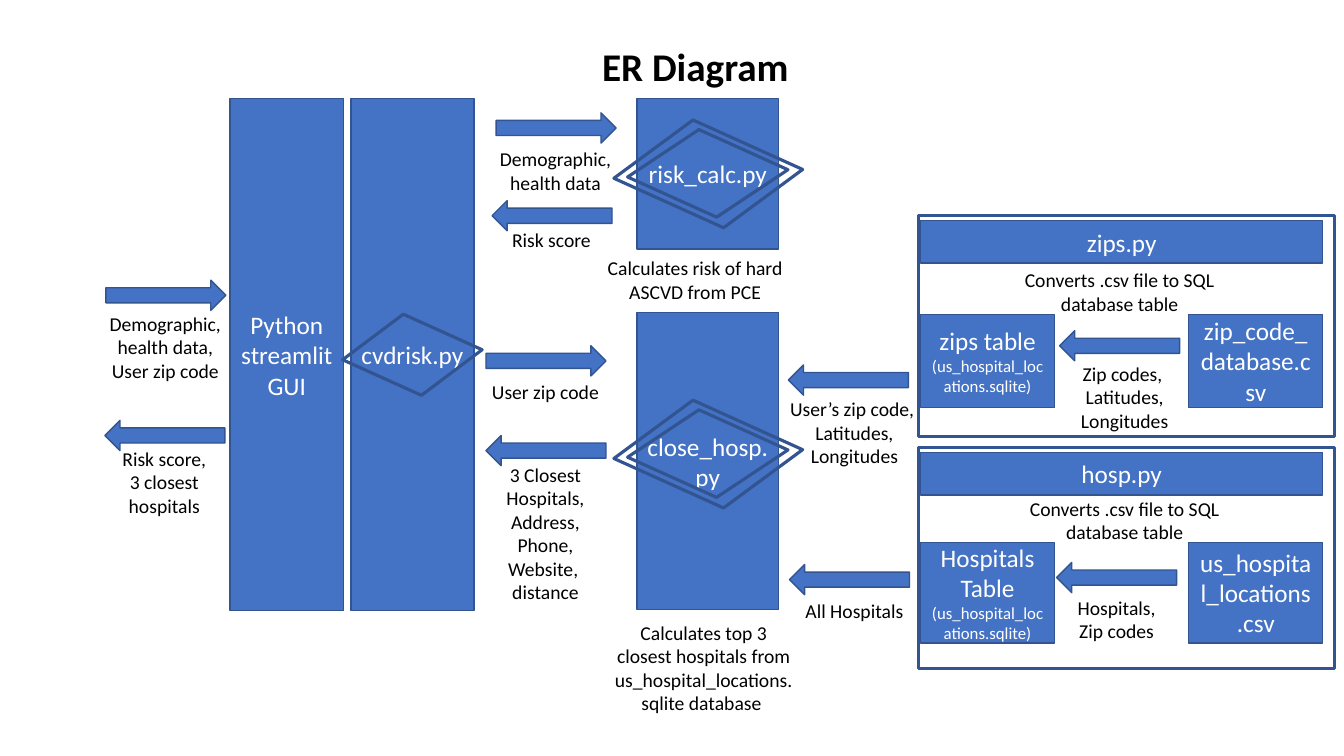
from dataclasses import dataclass

from pptx import Presentation
from pptx import util as u
from pptx.dml.color import RGBColor
from pptx.enum import shapes, text

PX = u.Inches(1) // 100


@dataclass(frozen=True)
class Theme:
    font: str = "Calibri"
    fill: RGBColor = RGBColor(0x44, 0x72, 0xC4)
    line: RGBColor = RGBColor(0x32, 0x54, 0x91)
    light: RGBColor = RGBColor(0xFF, 0xFF, 0xFF)
    dark: RGBColor = RGBColor(0, 0, 0)
    title: int = 28
    block: int = 18
    label: int = 14
    detail: int = 12
    thin: float = 1
    thick: float = 2.25


THEME = Theme()
ARROW_WIDTH, ARROW_HEIGHT = 119, 30
SINGLE = ((122, 66, 0.55),)
DOUBLE = ((142, 72, 0.627), (167, 85, 0.561))


def write(frame, lines, sizes, color, bold=False):
    frame.word_wrap = True
    frame.text = "\n".join(lines)
    for paragraph, size in zip(frame.paragraphs, sizes):
        paragraph.alignment = text.PP_ALIGN.CENTER
        for run in paragraph.runs:
            run.font.name = THEME.font
            run.font.size = u.Pt(size)
            run.font.bold = bold
            run.font.color.rgb = color


def add_shape(slide, kind, box, filled=True):
    shape = slide.shapes.add_shape(kind, *(length * PX for length in box))
    shape.shadow.inherit = False
    if filled:
        shape.fill.solid()
        shape.fill.fore_color.rgb = THEME.fill
    else:
        shape.fill.background()
    shape.line.color.rgb = THEME.line
    shape.line.width = u.Pt(THEME.thin if filled else THEME.thick)
    return shape


def add_block(slide, box, name, detail=None):
    shape = add_shape(slide, shapes.MSO_SHAPE.RECTANGLE, box)
    shape.text_frame.vertical_anchor = text.MSO_ANCHOR.MIDDLE
    lines = [name, detail] if detail else [name]
    write(shape.text_frame, lines, (THEME.block, THEME.detail), THEME.light)


def add_label(slide, box, *lines, size=THEME.label, bold=False):
    label = slide.shapes.add_textbox(*(length * PX for length in box))
    write(label.text_frame, lines, [size] * len(lines), THEME.dark, bold)
    label.text_frame.auto_size = text.MSO_AUTO_SIZE.SHAPE_TO_FIT_TEXT


def label_height(rows):
    return 11 + 70 * rows // 3


def add_flow(slide, left, top, lines, rows, drop, back=False, width=144, shift=0):
    """Arrow with a label `drop` below its top, centred on it plus `shift`."""
    arrow = add_shape(slide, shapes.MSO_SHAPE.RIGHT_ARROW,
                      (left, top, ARROW_WIDTH, ARROW_HEIGHT))
    arrow.rotation = 180 if back else 0
    label_left = left + (ARROW_WIDTH - width) // 2 + shift
    add_label(slide, (label_left, top + drop, width, label_height(rows)), *lines)


def add_diamonds(slide, center_x, center_y, sizes):
    for width, height, slant in sizes:
        box = (center_x - width // 2, center_y - height // 2, width, height)
        diamond = add_shape(slide, shapes.MSO_SHAPE.PARALLELOGRAM, box, filled=False)
        diamond.adjustments[0] = slant
        diamond.rotation = 24.3


def add_module(slide, box, name, sizes, rise=0):
    """Script block with diamonds `rise` above its centre."""
    left, top, width, height = box
    add_block(slide, box, name)
    add_diamonds(slide, left + width // 2, top + height // 2 - rise, sizes)


def add_front_end(slide, left, top):
    add_block(slide, (left + 137, top, 113, 508), "Python streamlit GUI")
    add_module(slide, (left + 257, top, 122, 508), "cvdrisk.py", SINGLE)
    add_flow(slide, left + 14, top + 180,
             ["Demographic, health data,", "User zip code"], 3, 26)
    add_flow(slide, left + 13, top + 319,
             ["Risk score,", "3 closest hospitals"], 3, 21, back=True)


def add_risk_calculator(slide, left, top):
    add_module(slide, (left + 150, top, 140, 149), "risk_calc.py", DOUBLE)
    add_label(slide, (left + 101, top + 151, 213, label_height(2)),
              "Calculates risk of hard ASCVD from PCE")
    add_flow(slide, left + 10, top + 14, ["Demographic, health data"], 2, 29)
    add_flow(slide, left + 6, top + 101, ["Risk score"], 1, 22, back=True)


def add_hospital_finder(slide, left, top):
    add_module(slide, (left + 150, top, 140, 295), "close_hosp.py", DOUBLE, rise=7)
    add_label(slide, (left + 118, top + 301, 196, label_height(4)),
              "Calculates top 3 closest hospitals from us_hospital_locations.sqlite database ")
    add_flow(slide, left, top + 33, ["User zip code"], 1, 29)
    add_flow(slide, left, top + 122,
             ["3 Closest Hospitals,", "Address,", "Phone,", "Website, ", "distance"],
             6, 22, back=True)
    add_flow(slide, left + 300, top + 52,
             ["User’s zip code, ", "Latitudes, Longitudes"], 3, 27,
             back=True, width=177, shift=6)
    add_flow(slide, left + 301, top + 250, ["All Hospitals"], 1, 29,
             back=True, width=213, shift=5)


def add_database_panel(slide, left, top, script, table, source, files_top,
                       files_height, caption_at, flow):
    add_shape(slide, shapes.MSO_SHAPE.RECTANGLE, (left, top, 413, 219), filled=False)
    add_block(slide, (left + 2, top + 5, 399, 42), script)
    add_block(slide, (left + 2, top + files_top, 133, files_height),
              table, "(us_hospital_locations.sqlite)")
    add_block(slide, (left + 268, top + files_top, 133, files_height), source)
    caption_x, caption_y = caption_at
    add_label(slide, (left + caption_x, top + caption_y, 213, label_height(2)),
              "Converts .csv file to SQL database table")
    flow_left = left + flow.pop("offset")
    add_flow(slide, flow_left, top + 114, back=True, **flow)


def build_er_diagram(slide):
    add_label(slide, (277, 37, 825, 57), "ER Diagram", size=THEME.title, bold=True)
    add_front_end(slide, 91, 98)
    add_risk_calculator(slide, 482, 98)
    add_hospital_finder(slide, 482, 310)
    add_database_panel(
        slide, 911, 214, "zips.py", "zips table", "zip_code_database.csv",
        files_top=98, files_height=92, caption_at=(93, 47),
        flow=dict(offset=140, lines=["Zip codes, ", "Latitudes, Longitudes"],
                  rows=3, drop=26, width=163, shift=5))
    add_database_panel(
        slide, 911, 444, "hosp.py", "Hospitals Table", "us_hospital_locations.csv",
        files_top=94, files_height=100, caption_at=(98, 44),
        flow=dict(offset=137, lines=["Hospitals,", "Zip codes"],
                  rows=2, drop=28, width=213))


def main():
    presentation = Presentation()
    presentation.slide_width = 1333 * PX
    presentation.slide_height = 750 * PX
    build_er_diagram(presentation.slides.add_slide(presentation.slide_layouts[6]))
    presentation.save("out.pptx")


if __name__ == "__main__":
    main()
